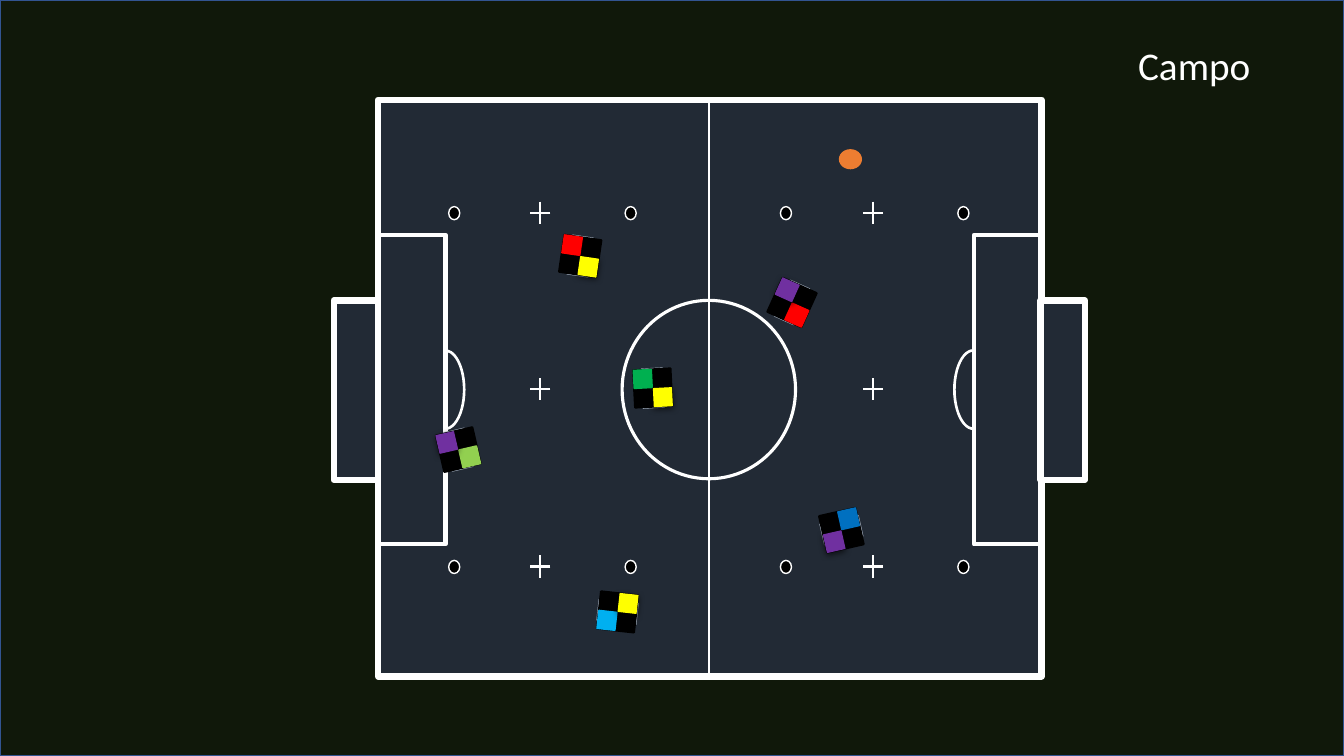
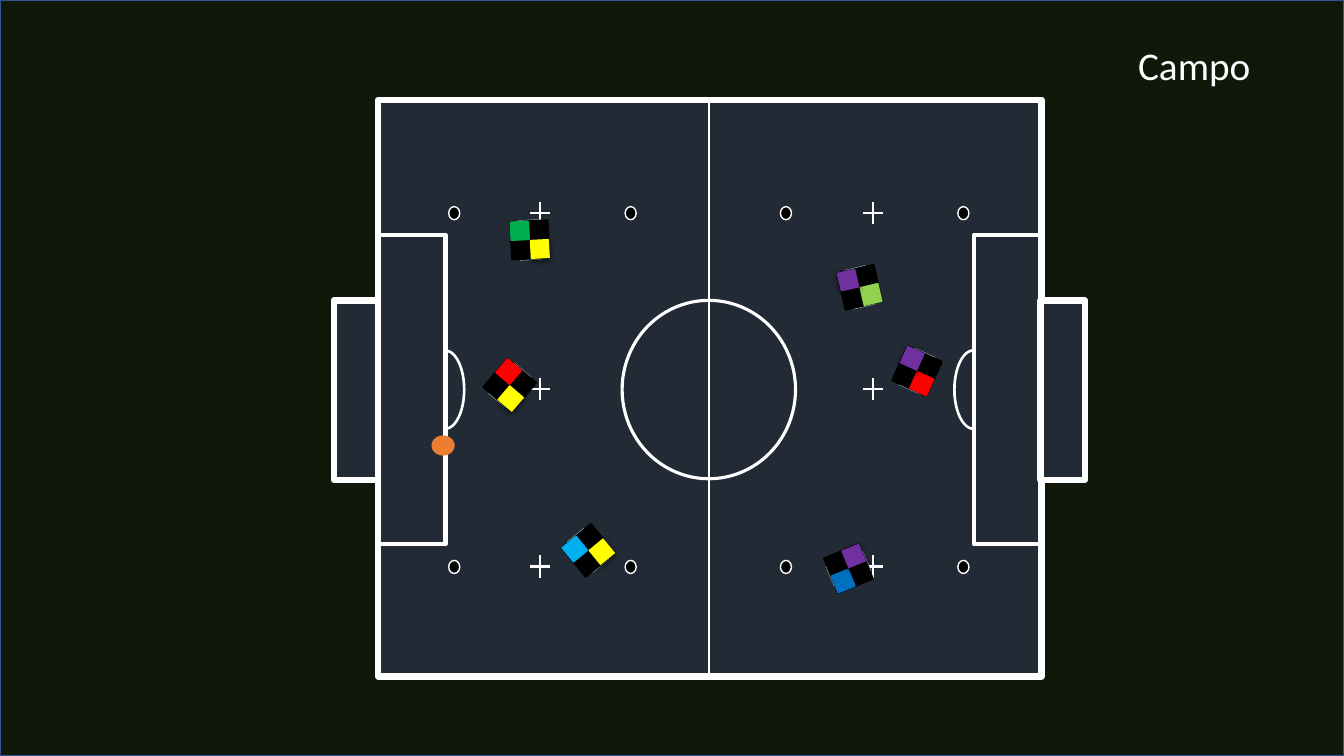
from itertools import product

from lxml.etree import SubElement
from pptx import Presentation
from pptx.dml.color import RGBColor
from pptx.enum.shapes import MSO_CONNECTOR, MSO_SHAPE
from pptx.enum.text import MSO_AUTO_SIZE
from pptx.oxml.ns import qn
from pptx.util import Inches, Pt

# Colours
WHITE = RGBColor(0xFF, 0xFF, 0xFF)
BLACK = RGBColor(0x00, 0x00, 0x00)
SURROUND = RGBColor(0x10, 0x18, 0x0A)
SURROUND_EDGE = RGBColor(0x32, 0x54, 0x91)
PITCH = RGBColor(0x22, 0x2A, 0x35)
ARC_BLUE = RGBColor(0x44, 0x72, 0xC4)
STRIP_EDGE = RGBColor(0xAD, 0xB9, 0xCA)
BALL = RGBColor(0xED, 0x7D, 0x31)
RED = RGBColor(0xFF, 0x00, 0x00)
YELLOW = RGBColor(0xFF, 0xFF, 0x00)
GREEN = RGBColor(0x00, 0xB0, 0x50)
LIME = RGBColor(0x92, 0xD0, 0x50)
CYAN = RGBColor(0x00, 0xB0, 0xF0)
BLUE = RGBColor(0x00, 0x70, 0xC0)
PURPLE = RGBColor(0x70, 0x30, 0xA0)

# Robots: front-left patch, back-right patch
ROBOTS = [(RED, YELLOW), (GREEN, YELLOW), (CYAN, YELLOW),
          (LIME, PURPLE), (BLUE, PURPLE), (RED, PURPLE)]
ROBOT_WIDTH, ROBOT_HEIGHT = 0.37, 0.38
STRIP_WIDTH, PATCH = 0.21, 0.18

# Each scene: (left, top, rotation) of every robot, then left and top of the ball
SCENES = [
    ([(5.57, 2.35, 8.3), (6.29, 3.66, 357.1), (5.94, 5.88, 276.3),
      (4.36, 4.27, 167), (8.16, 5.07, 77.2), (7.67, 2.81, 204.3)], (8.32, 1.48)),
    ([(4.87, 3.63, 40.5), (5.07, 2.19, 357.1), (5.65, 5.27, 320.6),
      (8.34, 2.66, 167), (8.23, 5.45, 247.7), (8.91, 3.49, 204.3)], (4.28, 4.32)),
]


class FieldDeck:
    """Holds the style and the slide, or group, being drawn on."""

    def __init__(self):
        self.deck = Presentation()
        self.deck.slide_width = Inches(13.33)
        self.deck.slide_height = Inches(7.5)

    def new_page(self):
        self.page = self.deck.slides.add_slide(self.deck.slide_layouts[6])
        self.target = self.page.shapes

    def start_group(self):
        group = self.page.shapes.add_group_shape()
        self.target = group.shapes
        return group

    def end_group(self):
        self.target = self.page.shapes

    def shape(self, kind, left, top, width, height, fill=None, edge=None, weight=1):
        item = self.target.add_shape(kind, Inches(left), Inches(top),
                                     Inches(width), Inches(height))
        item.shadow.inherit = False
        if fill is None:
            item.fill.background()
        else:
            item.fill.solid()
            item.fill.fore_color.rgb = fill
        if edge is None:
            item.line.fill.background()
        else:
            item.line.color.rgb = edge
            item.line.width = Pt(weight)
        return item

    def line(self, x1, y1, x2, y2):
        item = self.target.add_connector(MSO_CONNECTOR.STRAIGHT, Inches(x1), Inches(y1),
                                         Inches(x2), Inches(y2))
        item.line.color.rgb = WHITE
        item.line.width = Pt(1.5)
        SubElement(item._element.spPr, qn("a:effectLst"))

    def cross(self, x, y):
        self.line(x, y - 0.11, x, y + 0.11)
        self.line(x + 0.1, y, x - 0.1, y)

    def area_arc(self, left, rotation, start):
        arc = self.shape(MSO_SHAPE.BLOCK_ARC, left, 3.67, 0.79, 0.39, ARC_BLUE, WHITE)
        arc.rotation = rotation
        for index, value in enumerate((start, 0, 0.032)):
            arc.adjustments[index] = value

    def soft_shadow(self, item):
        effects = item._element.spPr.find(qn("a:effectLst"))
        shadow = SubElement(effects, qn("a:outerShdw"), blurRad=str(Pt(4.5)),
                            dist=str(Pt(1.5)), dir="5400000", rotWithShape="0")
        colour = SubElement(shadow, qn("a:srgbClr"), val="000000")
        SubElement(colour, qn("a:alpha"), val="63000")

    def title(self, text):
        box = self.target.add_textbox(Inches(11.19), Inches(0.36), Inches(1.53), Inches(0.57))
        frame = box.text_frame
        frame.word_wrap = True
        frame.auto_size = MSO_AUTO_SIZE.SHAPE_TO_FIT_TEXT
        frame.text = text
        font = frame.paragraphs[0].runs[0].font
        font.name = "Calibri"
        font.size = Pt(28)
        font.color.rgb = WHITE

    def field(self):
        self.start_group()
        box, oval = MSO_SHAPE.RECTANGLE, MSO_SHAPE.OVAL
        self.shape(box, 0, 0, 13.33, 7.5, SURROUND, SURROUND_EDGE)
        # Pitch, goals and halfway line
        self.shape(box, 3.75, 0.99, 6.58, 5.72, PITCH, WHITE, 4.5)
        for left in (3.31, 10.32):
            self.shape(box, left, 2.98, 0.44, 1.78, PITCH, WHITE, 4.5)
        self.line(7.03, 0.99, 7.03, 6.72)
        # Penalty areas and centre circle
        for left in (3.75, 9.66):
            self.shape(box, left, 2.33, 0.67, 3.07, edge=WHITE, weight=3)
        self.shape(oval, 6.17, 2.98, 1.72, 1.77, edge=WHITE, weight=2.25)
        # Spots, area arcs and crosses
        for top, left in product((2.05, 5.56), (4.45, 6.2, 7.74, 9.5)):
            self.shape(oval, left, top, 0.11, 0.13, BLACK, WHITE)
        self.area_arc(4.02, 90, 109.717)
        self.area_arc(9.26, 270, 107.613)
        for x, y in product((5.36, 8.66), (2.11, 3.86, 5.62)):
            self.cross(x, y)
        self.end_group()

    def robot(self, left, top, rotation, front, back):
        group = self.start_group()
        box = MSO_SHAPE.RECTANGLE
        inset = (ROBOT_HEIGHT - ROBOT_WIDTH) / 2
        self.shape(box, left + (ROBOT_WIDTH - STRIP_WIDTH) / 2, top,
                   STRIP_WIDTH, ROBOT_HEIGHT, BLACK, STRIP_EDGE, 1.5)
        self.shape(box, left, top + inset, ROBOT_WIDTH, ROBOT_WIDTH, BLACK, BLACK, 1.5)
        self.shape(box, left, top + inset, PATCH, PATCH, front, front)
        corner = ROBOT_WIDTH - PATCH
        patch = self.shape(box, left + corner, top + inset + corner,
                           PATCH, PATCH, back, back, 0.75)
        self.soft_shadow(patch)
        group.rotation = rotation
        self.end_group()

    def ball(self, left, top):
        self.shape(MSO_SHAPE.OVAL, left, top, 0.23, 0.2, BALL)


# One slide per scene
show = FieldDeck()
for places, ball_place in SCENES:
    show.new_page()
    show.field()
    show.title("Campo")
    for place, colours in zip(places, ROBOTS):
        show.robot(*place, *colours)
    show.ball(*ball_place)

show.deck.save("out.pptx")
